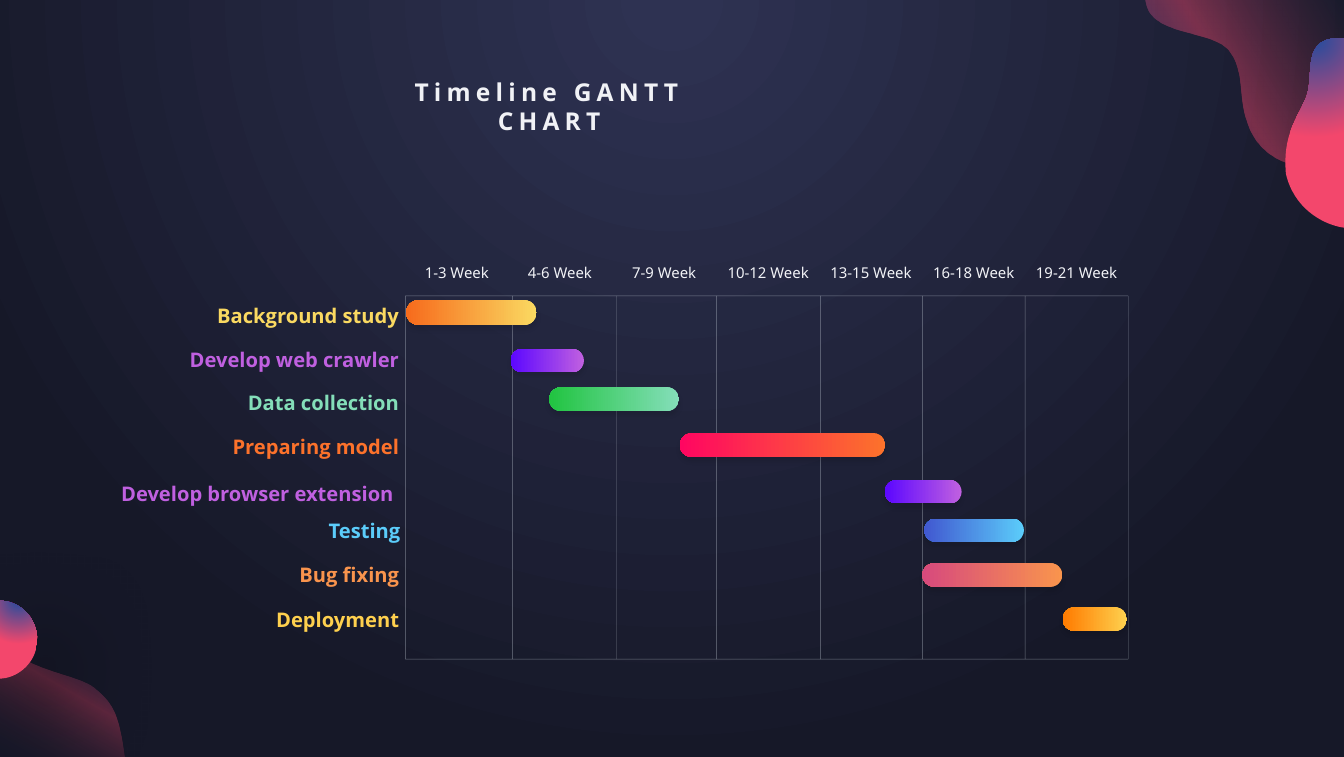
"""Build a project timeline slide with a Gantt chart of eight tasks."""
from lxml.etree import SubElement
from pptx import Presentation
from pptx.dml.color import RGBColor as RGB
from pptx.enum.shapes import MSO_CONNECTOR as CONNECTOR, MSO_SHAPE as SHAPE
from pptx.enum.text import MSO_ANCHOR as ANCHOR, MSO_AUTO_SIZE as AUTO_SIZE, PP_ALIGN as ALIGN
from pptx.oxml.ns import qn
from pptx.util import Cm, Pt

COLORS = {
    "night": "161828", "dusk": "2E3252", "ink": "181B2C", "pink": "F3476C", "blue": "274C9D",
    "text": "F1F2F6", "grid": "CED6E0", "shadow": "000000",
    "yellow": "FAD961", "amber": "F76B1C", "violet": "C060E0", "indigo": "5C07FF",
    "mint": "84DEB9", "green": "21C441", "orange": "FC722B", "magenta": "FF0661",
    "sky": "5BCCFA", "royal": "4158D0", "peach": "F9944D", "rose": "D74A7D",
    "gold": "FED04E", "tangerine": "FF7B00",
}


def paint_gradient(fill, owner, stops, angle=None):
    """Fill with (position, colour, opacity) stops, linear or, without an angle, radial."""
    fill.gradient()
    gradient = owner.find(".//" + qn("a:gradFill"))
    for child in list(gradient):
        gradient.remove(child)
    stop_list = SubElement(gradient, qn("a:gsLst"))
    for position, color, opacity in stops:
        stop = SubElement(stop_list, qn("a:gs"), pos=str(position * 1000))
        tint = SubElement(stop, qn("a:srgbClr"), val=COLORS[color])
        if opacity < 100:
            SubElement(tint, qn("a:alpha"), val=str(opacity * 1000))
    if angle is None:
        radial = SubElement(gradient, qn("a:path"), path="circle")
        SubElement(radial, qn("a:fillToRect"), l="50000", t="-80000", r="50000", b="180000")
    else:
        SubElement(gradient, qn("a:lin"), ang=str(angle * 60000), scaled="0")


def cast_shadow(shape, opacity, blur, distance, angle):
    """Give the shape a soft outer shadow."""
    shape.shadow.inherit = False
    effects = shape.element.spPr.find(qn("a:effectLst"))
    outer = SubElement(effects, qn("a:outerShdw"), blurRad=str(Pt(blur)), dist=str(Pt(distance)),
                       dir=str(angle * 60000), algn="ctr", rotWithShape="0")
    tint = SubElement(outer, qn("a:srgbClr"), val=COLORS["shadow"])
    SubElement(tint, qn("a:alpha"), val=str(opacity * 1000))


deck = Presentation()
deck.slide_width, deck.slide_height = Cm(54.13), Cm(30.48)
slide = deck.slides.add_slide(deck.slide_layouts[5])
shapes = slide.shapes
paint_gradient(slide.background.fill, slide.element, [(2, "dusk", 100), (100, "night", 100)])

drop_stops = [(2, "blue", 100), (100, "pink", 100)]
blobs = [
    ([(0, 25.63), (0.91, 27.08, 3.12, 27.08, 3.86, 27.74),
      (4.62, 28.37, 4.8, 28.85, 5.03, 30.48), (0, 30.48)],
     [(0, "ink", 3), (55, "pink", 33), (100, "blue", 4)], 300, None),
    ([(0, 24.18), (0.23, 24.21), (0.94, 24.33, 1.5, 24.99, 1.5, 25.76),
      (1.5, 26.52, 0.94, 27.15, 0.23, 27.3), (0, 27.33)],
     drop_stops, None, (60, 100, 49, 45)),
    ([(46.13, 0), (46.23, 1.52, 48.77, 1.19, 49.48, 2.06),
      (50.17, 2.95, 49.76, 3.94, 50.32, 5.21),
      (50.9, 6.5, 52.32, 6.96, 54.13, 6.73), (54.13, 0)],
     [(0, "ink", 25), (55, "pink", 44), (100, "blue", 40)], 150, None),
    ([(54.13, 1.55), (52.32, 1.4, 52.98, 3.05, 52.6, 3.94),
      (52.22, 4.85, 51.66, 5.41, 51.79, 6.99),
      (52.1, 8.36, 53.24, 9.04, 54.13, 9.17)],
     drop_stops, None, None),
]
for outline, stops, angle, shade in blobs:
    corners = [(Cm(segment[-2]), Cm(segment[-1])) for segment in outline]
    builder = shapes.build_freeform(*corners[0])
    builder.add_line_segments(corners[1:])
    blob = builder.convert_to_shape()
    sides = blob.element.findall(".//" + qn("a:lnTo"))
    for side, segment in zip(sides, outline[1:]):
        if len(segment) == 6:
            side.tag = qn("a:cubicBezTo")
            side.remove(side[0])
            for x, y in zip(segment[::2], segment[1::2]):
                SubElement(side, qn("a:pt"), x=str(Cm(x) - blob.left), y=str(Cm(y) - blob.top))
    paint_gradient(blob.fill, blob.element, stops, angle)
    blob.line.fill.background()
    if shade:
        cast_shadow(blob, *shade)
    else:
        blob.shadow.inherit = False

title = shapes.title
title.left, title.top, title.width, title.height = Cm(14.43), Cm(2.97), Cm(15.37), Cm(1.45)
title.text_frame.text = "Timeline GANTT CHART"
title.text_frame.vertical_anchor = ANCHOR.TOP
title.text_frame.auto_size = AUTO_SIZE.SHAPE_TO_FIT_TEXT
heading = title.text_frame.paragraphs[0]
heading.alignment = ALIGN.CENTER
heading_run = heading.runs[0]
heading_run.font.name, heading_run.font.size, heading_run.font.bold = "Open Sans", Pt(28), True
heading_run.font.color.rgb = RGB.from_string(COLORS["text"])
heading_run.font._element.set("spc", "600")

labels = [
    (3.25, 12.09, 1.24, 0, [("Background study", "yellow", "amber")]),
    (3.25, 13.86, 1.24, 0, [("Develop web crawler", "violet", "indigo")]),
    (3.25, 15.6, 1.24, 0, [("Data collection", "mint", "green")]),
    (3.25, 17.35, 4.01, 26, [("Preparing model", "orange", "magenta"),
                             ("Develop browser extension ", "violet", "indigo")]),
    (3.3, 20.75, 1.24, 0, [("Testing", "sky", "royal")]),
    (3.25, 22.53, 2.95, 23, [("Bug fixing", "peach", "rose"),
                             ("Deployment", "gold", "tangerine")]),
]
task_names = shapes.add_group_shape()
for left, top, height, gap, tasks in labels:
    label = task_names.shapes.add_textbox(Cm(left), Cm(top), Cm(13.08), Cm(height))
    label.text_frame.word_wrap = True
    label.text_frame.auto_size = AUTO_SIZE.SHAPE_TO_FIT_TEXT
    label.text_frame.text = "\n".join(name for name, light, deep in tasks)
    for line, (name, light, deep) in zip(label.text_frame.paragraphs, tasks):
        line.alignment = ALIGN.RIGHT
        line_font = line.runs[0].font
        line_font.name, line_font.size, line_font.bold = "Open Sans", Pt(23), True
        paint_gradient(line_font.fill, line_font._element,
                       [(0, light, 100), (100, deep, 100)], 315)
    if gap:
        line.space_before = Pt(gap)

GRID_TOP, GRID_BOTTOM = 11.91, 26.54
columns = [16.33, 20.64, 24.84, 28.86, 33.05, 37.15, 41.29, 45.44]
rules = [(columns[0], y, columns[-1], y) for y in (GRID_TOP, GRID_BOTTOM)]
rules += [(x, GRID_TOP, x, GRID_BOTTOM) for x in columns]
grid = shapes.add_group_shape()
for ends in rules:
    rule = grid.shapes.add_connector(CONNECTOR.STRAIGHT, *[Cm(end) for end in ends])
    rule.line.width = Pt(0.5)
    rule.line.color.rgb = RGB.from_string(COLORS["grid"])
    SubElement(rule.element.find(".//" + qn("a:srgbClr")), qn("a:alpha"), val="50000")
    SubElement(rule.element.spPr, qn("a:effectLst"))

weeks = shapes.add_group_shape()
for index, left in enumerate([16.33, 20.48, 24.68, 28.87, 33.01, 37.15, 41.29]):
    week = weeks.shapes.add_textbox(Cm(left), Cm(10.48), Cm(4.14), Cm(0.99))
    week.text_frame.word_wrap = True
    week.text_frame.auto_size = AUTO_SIZE.SHAPE_TO_FIT_TEXT
    week.text_frame.text = f"{3 * index + 1}-{3 * index + 3} Week"
    caption = week.text_frame.paragraphs[0]
    caption.alignment = ALIGN.CENTER
    caption_font = caption.runs[0].font
    caption_font.name, caption_font.size = "Noto Sans", Pt(17)
    caption_font.color.rgb = RGB.from_string(COLORS["text"])

bars = [
    ("yellow", "amber", 16.36, 12.09, 5.26, 0.99),
    ("violet", "indigo", 20.57, 14.05, 2.95, 0.94),
    ("mint", "green", 22.12, 15.6, 5.23, 0.94),
    ("orange", "magenta", 27.38, 17.45, 8.28, 0.94),
    ("sky", "royal", 37.23, 20.88, 4.01, 0.94),
    ("peach", "rose", 37.15, 22.68, 5.64, 0.94),
    ("gold", "tangerine", 42.8, 24.46, 2.59, 0.94),
    ("violet", "indigo", 35.64, 19.33, 3.09, 0.94),
]
for light, deep, *place in bars:
    bar = shapes.add_shape(SHAPE.ROUNDED_RECTANGLE, *[Cm(length) for length in place])
    bar.adjustments[0] = 0.5
    paint_gradient(bar.fill, bar.element, [(0, light, 100), (100, deep, 100)], 180)
    bar.line.fill.background()
    cast_shadow(bar, 10, 5, 5, 90)

deck.save("out.pptx")
